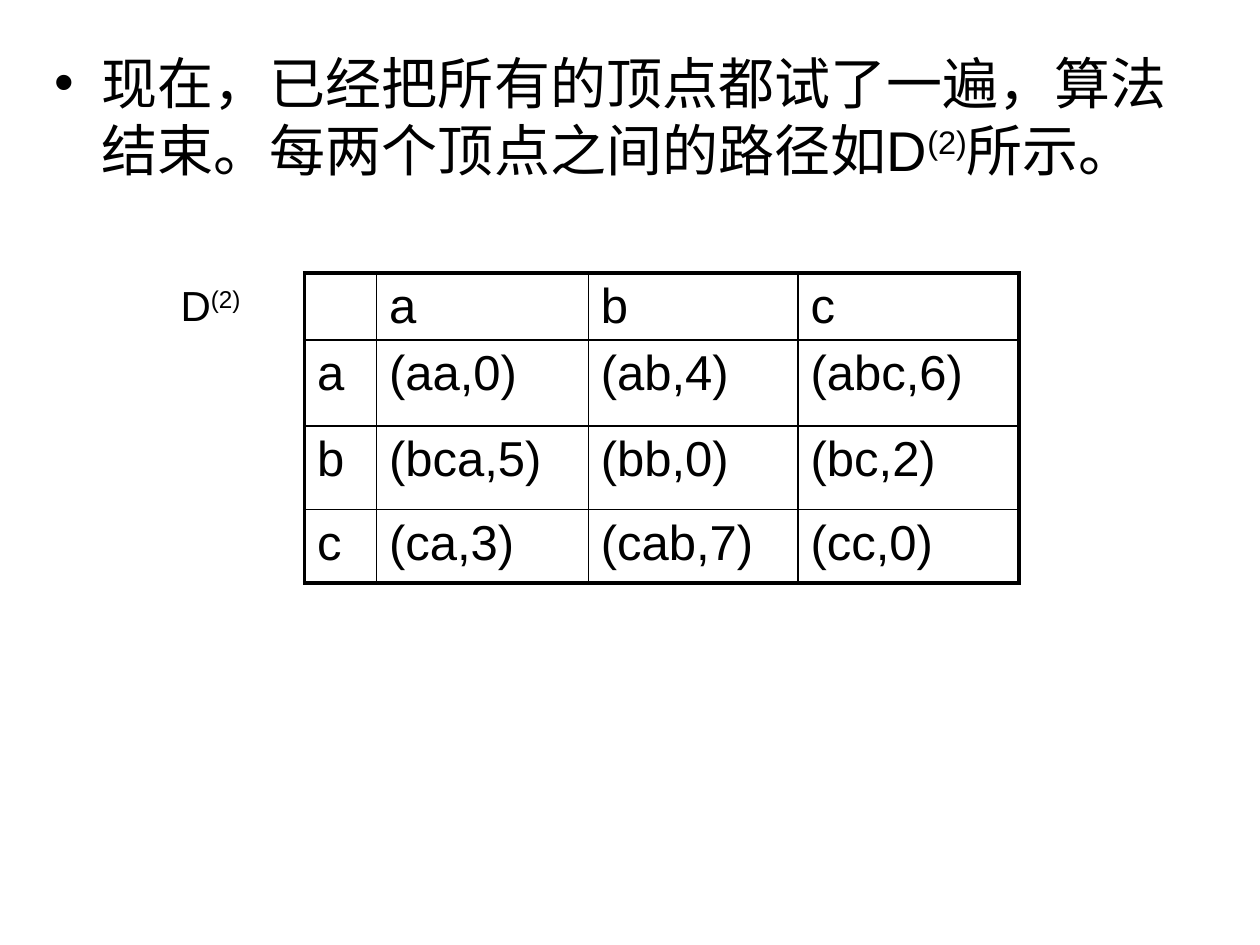
from dataclasses import dataclass

from lxml.etree import SubElement
from pptx import Presentation
from pptx.dml.color import RGBColor
from pptx.enum.text import MSO_ANCHOR as Anchor, MSO_AUTO_SIZE as AutoSize
from pptx.oxml import parse_xml
from pptx.oxml.ns import nsdecls, qn
from pptx.util import Cm, Pt


@dataclass(frozen=True)
class Theme:
    font: str = "Arial"
    ink: str = "000000"
    body_size: int = 32
    table_size: int = 28
    label_size: int = 24
    outer_line: float = 2.25
    inner_line: float = 1
    superscript: int = 30000


class SlideBuilder:
    def __init__(self, slide, theme):
        self.slide = slide
        self.theme = theme

    def style(self, paragraph, size):
        paragraph.space_before = Pt(0)
        font = paragraph.font
        font.name = self.theme.font
        font.size = Pt(size)
        font.color.rgb = RGBColor.from_string(self.theme.ink)

    def fill_paragraph(self, paragraph, pieces, size):
        for text, raised in pieces:
            run = paragraph.add_run()
            run.text = text
            if raised:
                run._r.get_or_add_rPr().set("baseline", str(self.theme.superscript))
        self.style(paragraph, size)

    def bullet(self, left, top, width, height, pieces):
        title = self.slide.shapes.title.element
        title.getparent().remove(title)
        body = self.slide.placeholders[1]
        body.left, body.top, body.width, body.height = left, top, width, height
        frame = body.text_frame
        frame.auto_size = AutoSize.NONE
        frame.vertical_anchor = Anchor.TOP
        paragraph = frame.paragraphs[0]
        properties = paragraph._p.get_or_add_pPr()
        properties.set("marL", str(Cm(0.95)))
        properties.set("indent", str(Cm(-0.95)))
        SubElement(properties, qn("a:buChar")).set("char", "•")
        self.fill_paragraph(paragraph, pieces, self.theme.body_size)

    def label(self, left, top, width, height, pieces):
        frame = self.slide.shapes.add_textbox(left, top, width, height).text_frame
        frame.word_wrap = True
        frame.auto_size = AutoSize.SHAPE_TO_FIT_TEXT
        self.fill_paragraph(frame.paragraphs[0], pieces, self.theme.label_size)

    def borders(self, cell, outer_sides):
        properties = cell._tc.get_or_add_tcPr()
        for position, side in enumerate("LRTB"):
            points = self.theme.outer_line if side in outer_sides else self.theme.inner_line
            properties.insert(position, parse_xml(
                f'<a:ln{side} {nsdecls("a")} w="{Pt(points)}"><a:solidFill>'
                f'<a:srgbClr val="{self.theme.ink}"/></a:solidFill></a:ln{side}>'))

    def table(self, left, top, widths, heights, rows):
        table = self.slide.shapes.add_table(
            len(rows), len(widths), left, top, sum(widths), sum(heights)).table
        table.first_row = table.horz_banding = False
        for column, width in zip(table.columns, widths):
            column.width = width
        for row, height in zip(table.rows, heights):
            row.height = height
        last_row, last_column = len(rows) - 1, len(widths) - 1
        for row_index, values in enumerate(rows):
            for column_index, value in enumerate(values):
                cell = table.cell(row_index, column_index)
                cell.text = value
                cell.fill.background()
                self.style(cell.text_frame.paragraphs[0], self.theme.table_size)
                edges = {"L": column_index == 0, "R": column_index == last_column,
                         "T": row_index == 0, "B": row_index == last_row}
                self.borders(cell, [side for side, outer in edges.items() if outer])


def main():
    presentation = Presentation()
    presentation.slide_width, presentation.slide_height = Cm(25.4), Cm(19.05)
    slide = presentation.slides.add_slide(presentation.slide_layouts[1])
    builder = SlideBuilder(slide, Theme())
    matrix_name = [("D", False), ("(2)", True)]

    builder.bullet(Cm(0.85), Cm(0.85), Cm(23.28), Cm(3.6), [
        ("现在，已经把所有的顶点都试了一遍，算法结束。每两个顶点之间的路径如", False),
        *matrix_name,
        ("所示。", False),
    ])
    builder.table(
        Cm(6.14), Cm(5.5),
        [Cm(width) for width in (1.45, 4.27, 4.23, 4.45)],
        [Cm(height) for height in (1.35, 1.73, 1.69, 1.48)],
        [
            ["", "a", "b", "c"],
            ["a", "(aa,0)", "(ab,4)", "(abc,6)"],
            ["b", "(bca,5)", "(bb,0)", "(bc,2)"],
            ["c", "(ca,3)", "(cab,7)", "(cc,0)"],
        ])
    builder.label(Cm(3.39), Cm(5.5), Cm(2.54), Cm(1.27), matrix_name)
    presentation.save("out.pptx")


if __name__ == "__main__":
    main()
